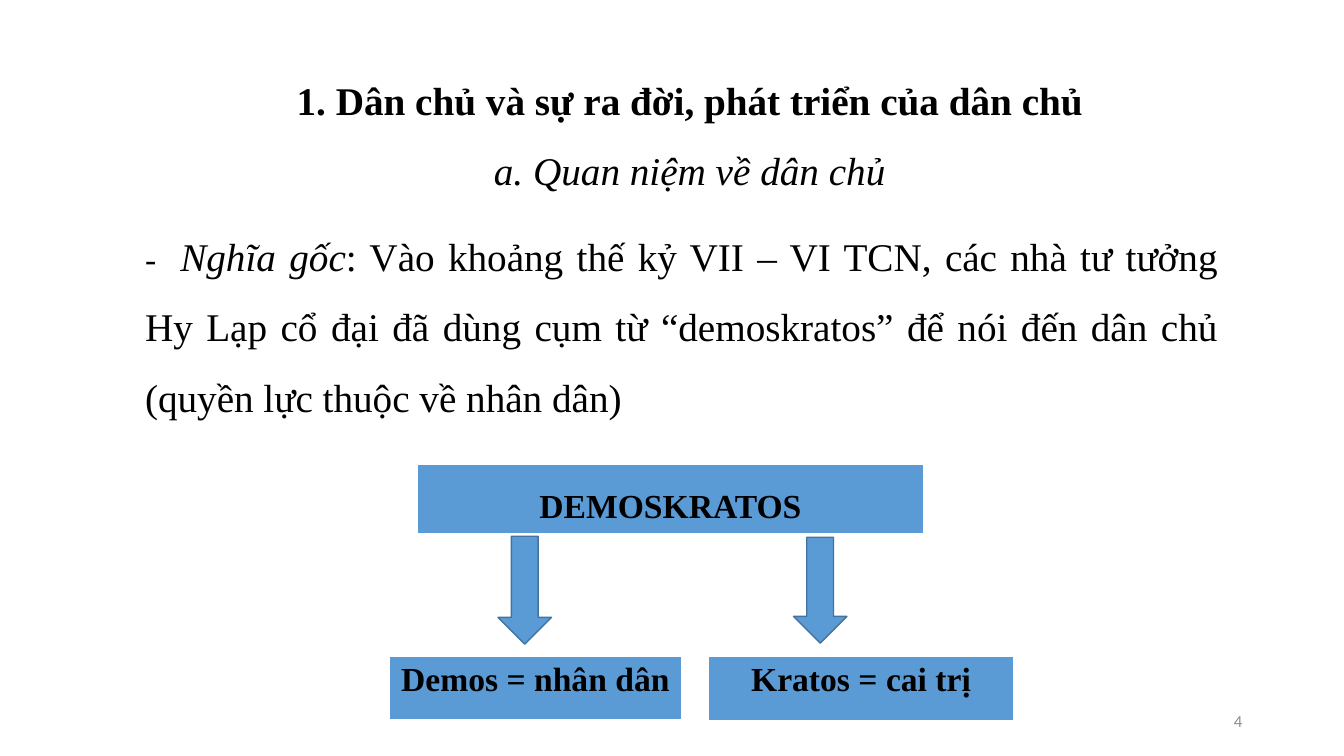
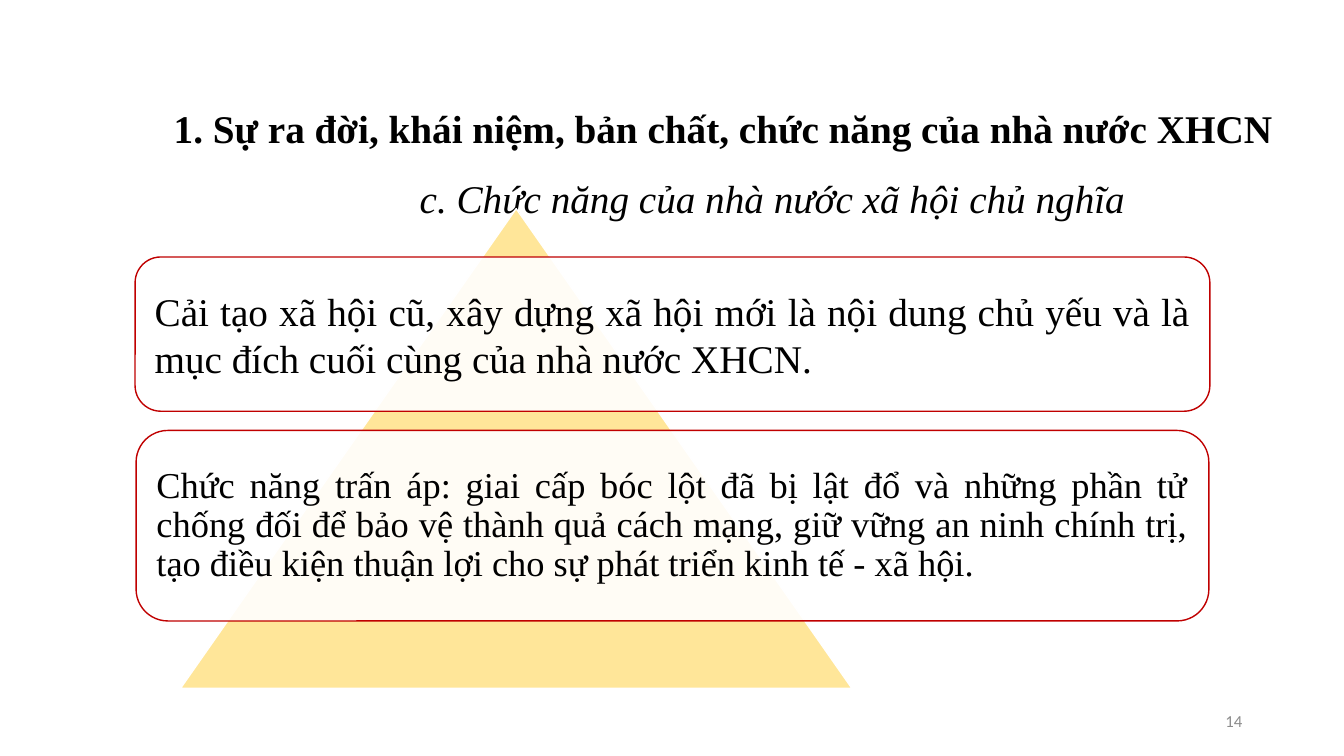
from dataclasses import dataclass
from typing import NamedTuple

from lxml.etree import SubElement
from pptx import Presentation
from pptx.dml.color import RGBColor
from pptx.enum.shapes import MSO_SHAPE as Shape
from pptx.enum.text import MSO_ANCHOR as Anchor, PP_ALIGN as Align
from pptx.oxml.ns import qn
from pptx.util import Pt

EMU_PER_PX = 9144  # 100 px to the inch
BLANK_LAYOUT = 6

BLACK, WHITE, GREY = "000000", "FFFFFF", "8C8C8C"
BLUE, DARK_BLUE = "5B9BD5", "43739E"
GOLD, RED = "FFE699", "C00000"
SERIF, SANS = "Times New Roman", "Calibri"


class Box(NamedTuple):
    left: int
    top: int
    width: int
    height: int


@dataclass
class Run:
    text: str
    size: int = 28
    bold: bool = False
    italic: bool = False
    face: str = SERIF
    color: str = BLACK


@dataclass
class Para:
    runs: list[Run]
    align: Align = Align.CENTER
    spacing: float = 1.0
    indent: int = 0
    tab: int = 0


@dataclass
class Label:
    box: Box
    text: str
    spacing: float = 1.0


@dataclass
class Card:
    box: Box
    text: str
    size: int
    spacing: float
    inset: int


def px(length: int) -> int:
    return length * EMU_PER_PX


def emu(box: Box) -> list[int]:
    return [px(length) for length in box]


def rgb(color: str) -> RGBColor:
    return RGBColor.from_string(color)


def set_all(target, values: dict) -> None:
    for name, value in values.items():
        setattr(target, name, value)


def write(frame, paras: list[Para]) -> None:
    """Fill a text frame with formatted paragraphs."""
    for number, para in enumerate(paras):
        line = frame.add_paragraph() if number else frame.paragraphs[0]
        props = line._p.get_or_add_pPr()
        if para.indent:
            props.set("marL", str(px(para.indent)))
        if para.tab:
            stops = SubElement(props, qn("a:tabLst"))
            SubElement(stops, qn("a:tab"), pos=str(px(para.tab)), algn="l")
        set_all(line, {"alignment": para.align, "line_spacing": para.spacing})
        for run in para.runs:
            piece = line.add_run()
            piece.text = run.text
            set_all(piece.font, {"name": run.face, "size": Pt(run.size),
                                 "bold": run.bold, "italic": run.italic})
            piece.font.color.rgb = rgb(run.color)


def add_text(slide, box: Box, paras: list[Para], anchor: Anchor = Anchor.TOP) -> None:
    frame = slide.shapes.add_textbox(*emu(box)).text_frame
    set_all(frame, {"word_wrap": True, "vertical_anchor": anchor})
    write(frame, paras)


def add_figure(slide, kind: Shape, box: Box, fill: str, line: str, opacity: int = 100):
    figure = slide.shapes.add_shape(kind, *emu(box))
    figure.shadow.inherit = False
    figure.fill.solid()
    figure.fill.fore_color.rgb = rgb(fill)
    if opacity < 100:
        tint = figure.fill._xPr.find(qn("a:solidFill"))[0]
        SubElement(tint, qn("a:alpha"), val=str(opacity * 1000))
    figure.line.color.rgb = rgb(line)
    figure.line.width = Pt(1)
    return figure


def add_label(slide, label: Label) -> None:
    """Draw a one-cell table with white borders."""
    table = slide.shapes.add_table(1, 1, *emu(label.box)).table
    set_all(table, {"first_row": False, "horz_banding": False})
    cell = table.cell(0, 0)
    props = cell._tc.get_or_add_tcPr()
    for side, width in {"L": 1, "R": 1, "T": 1, "B": 3}.items():
        border = SubElement(props, qn(f"a:ln{side}"), w=str(Pt(width)))
        paint = SubElement(border, qn("a:solidFill"))
        SubElement(paint, qn("a:srgbClr"), val=WHITE)
    cell.fill.solid()
    cell.fill.fore_color.rgb = rgb(BLUE)
    write(cell.text_frame, [Para([Run(label.text, 24, bold=True)], spacing=label.spacing)])


def add_card(slide, card: Card) -> None:
    frame = add_figure(slide, Shape.ROUNDED_RECTANGLE, card.box, WHITE, RED, 90).text_frame
    sides = ("left", "top", "right", "bottom")
    set_all(frame, {f"margin_{side}": px(card.inset) for side in sides})
    set_all(frame, {"word_wrap": True, "vertical_anchor": Anchor.MIDDLE})
    write(frame, [Para([Run(card.text, card.size)], Align.JUSTIFY, card.spacing)])


def start_slide(deck, title_box: Box, heading: str, topic: str, indent: int = 0):
    """Add a blank slide with its bold heading and italic topic."""
    slide = deck.slides.add_slide(deck.slide_layouts[BLANK_LAYOUT])
    add_text(slide, title_box, [
        Para([Run(heading, bold=True)], spacing=1.5),
        Para([Run(topic, italic=True)], spacing=1.5, indent=indent),
    ])
    return slide


def add_page_number(slide, number: int) -> None:
    page = Run(str(number), 12, face=SANS, color=GREY)
    add_text(slide, Box(942, 695, 300, 40), [Para([page], Align.RIGHT)], Anchor.MIDDLE)


LABELS = [
    Label(Box(414, 461, 502, 69), "DEMOSKRATOS", 1.5),
    Label(Box(386, 651, 290, 64), "Demos = nhân dân"),
    Label(Box(703, 651, 302, 65), "Kratos = cai trị"),
]
ARROWS = [Box(494, 532, 53, 107), Box(787, 533, 53, 105)]
CARDS = [
    Card(Box(134, 255, 1066, 153),
         "Cải tạo xã hội cũ, xây dựng xã hội mới là nội dung chủ yếu và là "
         "mục đích cuối cùng của nhà nước XHCN.", 28, 1.0, 12),
    Card(Box(135, 427, 1064, 189),
         "Chức năng trấn áp: giai cấp bóc lột đã bị lật đổ và những phần tử "
         "chống đối để bảo vệ thành quả cách mạng, giữ vững an ninh chính trị, "
         "tạo điều kiện thuận lợi cho sự phát triển kinh tế - xã hội.", 26, 0.9, 11),
]


def build_democracy(deck) -> None:
    slide = start_slide(deck, Box(134, 47, 1100, 150),
                        "1. Dân chủ và sự ra đời, phát triển của dân chủ",
                        "a. Quan niệm về dân chủ")
    origin = [
        Run("-\t", 24, italic=True),
        Run("Nghĩa gốc", italic=True),
        Run(": Vào khoảng thế kỷ VII – VI TCN, các nhà tư tưởng Hy Lạp cổ đại "
            "đã dùng cụm từ “demoskratos” để nói đến dân chủ (quyền lực thuộc "
            "về nhân dân)"),
    ]
    add_text(slide, Box(134, 202, 1084, 496), [Para(origin, Align.JUSTIFY, 1.5, tab=35)])
    for label in LABELS:
        add_label(slide, label)
    for arrow in ARROWS:
        add_figure(slide, Shape.DOWN_ARROW, arrow, BLUE, DARK_BLUE)
    add_page_number(slide, 4)


def build_state_functions(deck) -> None:
    slide = start_slide(deck, Box(147, 75, 1140, 150),
                        "1. Sự ra đời, khái niệm, bản chất, chức năng của nhà nước XHCN",
                        "c. Chức năng của nhà nước xã hội chủ nghĩa", indent=98)
    add_figure(slide, Shape.ISOSCELES_TRIANGLE, Box(179, 207, 666, 476), GOLD, WHITE)
    for card in CARDS:
        add_card(slide, card)
    add_page_number(slide, 14)


def main() -> None:
    deck = Presentation()
    set_all(deck, {"slide_width": px(1333), "slide_height": px(750)})
    build_democracy(deck)
    build_state_functions(deck)
    deck.save("out.pptx")


if __name__ == "__main__":
    main()
